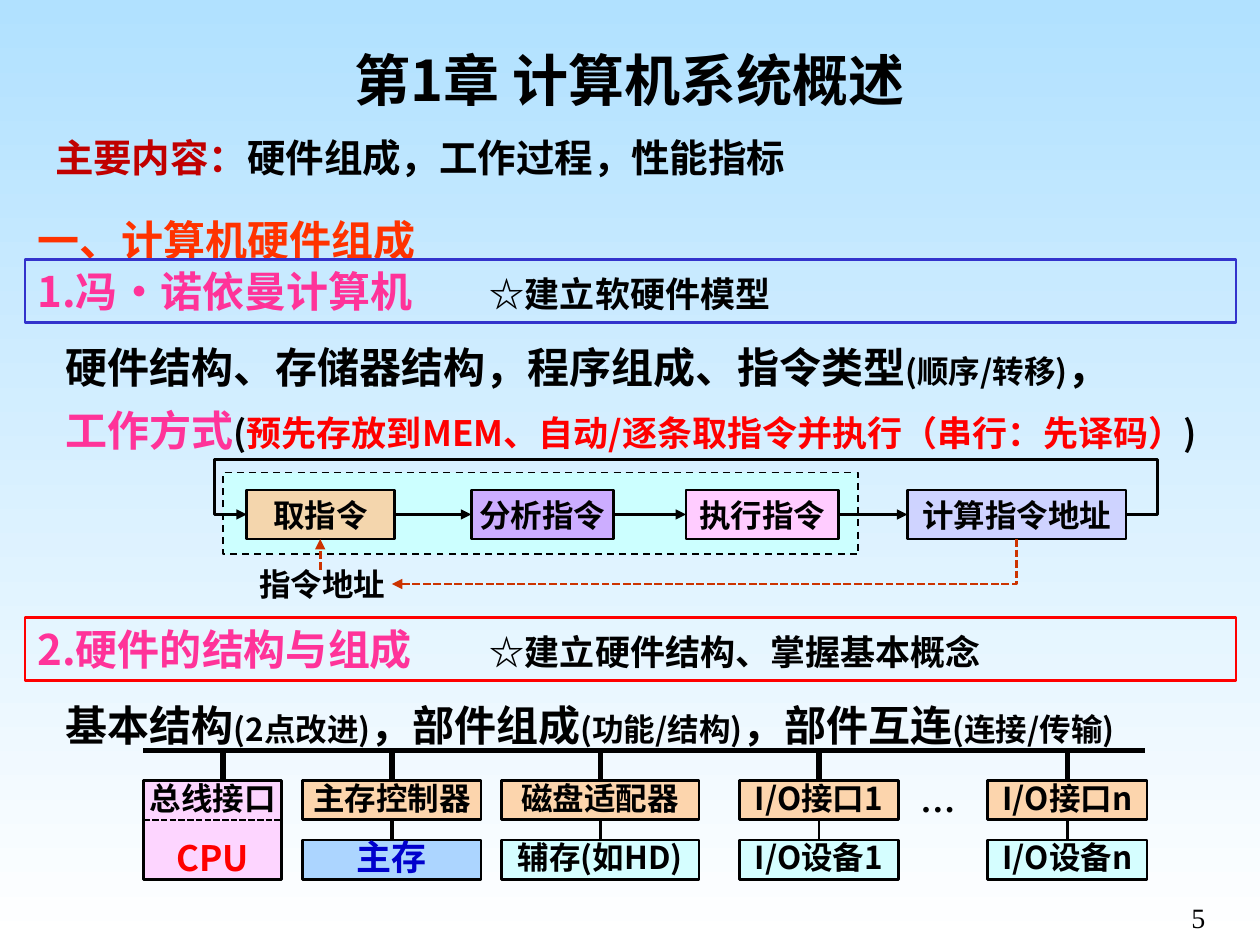
"""Build the chapter overview slide on computer hardware."""
import pptx
import pptx.dml.color
import pptx.enum.dml
import pptx.enum.shapes
import pptx.enum.text
import pptx.oxml.ns
import pptx.util
from lxml import etree

Pt = pptx.util.Pt
qn = pptx.oxml.ns.qn
ALIGN = pptx.enum.text.PP_ALIGN
ANCHOR = pptx.enum.text.MSO_ANCHOR
DASH = pptx.enum.dml.MSO_LINE
C = {
    "sky": "B1E1FF", "white": "FFFFFF", "black": "000000", "crimson": "C00000",
    "orange": "FF3300", "rose": "FF3399", "red": "FF0000", "navy": "3333CC",
    "blue": "0000CC", "rust": "CC3300", "aqua": "CCFFFF", "peach": "FFCC99",
    "violet": "CC99FF", "pink": "FFCCFF", "lilac": "CCCCFF", "azure": "99CCFF",
}


def rgb(name):
    """Return a palette colour."""
    return pptx.dml.color.RGBColor.from_string(C[name])


class Deck:
    """Hold the style and the current slide."""

    font = "Noto Sans CJK SC"
    tight = (1.5, 0.75, 1.5, 0.75)
    loose = (7.2, 3.6, 7.2, 3.6)

    def __init__(self):
        """Open a title-only slide with a gradient background."""
        self.prs = pptx.Presentation()
        self.prs.slide_width, self.prs.slide_height = Pt(720), Pt(540)
        self.s = self.prs.slides.add_slide(self.prs.slide_layouts[5])
        fill = self.s.background.fill
        fill.gradient()
        fill.gradient_angle = 270
        for stop, pos, name in zip(fill.gradient_stops, (0, 1), ("sky", "white")):
            stop.position = pos
            stop.color.rgb = rgb(name)

    def set_text(self, sp, paras, size=18, color="black", bold=True, font=None, align=ALIGN.CENTER,
                 anchor=ANCHOR.MIDDLE, spacing=1.0, inset=tight, indent=0, tab=0):
        """Fill a shape with paragraphs of (text, size, colour) runs."""
        tf = sp.text_frame
        sides = ("margin_left", "margin_top", "margin_right", "margin_bottom")
        fmt = {"word_wrap": True, "auto_size": pptx.enum.text.MSO_AUTO_SIZE.NONE,
               "vertical_anchor": anchor, **{k: Pt(v) for k, v in zip(sides, inset)}}
        for key, value in fmt.items():
            setattr(tf, key, value)
        paras = [[(paras,)]] if isinstance(paras, str) else paras
        for i, runs in enumerate(paras):
            p = tf.add_paragraph() if i else tf.paragraphs[0]
            p.alignment, p.line_spacing = align, spacing
            pPr = p._p.get_or_add_pPr()
            if indent:
                pPr.set("indent", str(Pt(indent)))
            if tab:
                tabs = etree.SubElement(pPr, qn("a:tabLst"))
                etree.SubElement(tabs, qn("a:tab"), pos=str(Pt(tab)), algn="l")
            for text, *style in runs:
                r = p.add_run()
                r.text = text
                run_size, run_color = style or (size, color)
                for key, value in {"size": Pt(run_size), "bold": bold, "name": font or self.font}.items():
                    setattr(r.font, key, value)
                r.font.color.rgb = rgb(run_color)
                ea = etree.SubElement(r._r.get_or_add_rPr(), qn("a:ea"))
                ea.set("typeface", font or self.font)

    def title(self, box, text, **fmt):
        """Place and format the title."""
        sp = self.s.shapes.title
        for key, value in zip(("left", "top", "width", "height"), box):
            setattr(sp, key, Pt(value))
        self.set_text(sp, text, **fmt)

    def text(self, box, paras, **fmt):
        """Add a text box."""
        self.set_text(self.s.shapes.add_textbox(*map(Pt, box)), paras, **fmt)

    def outline(self, sp, color="black", width=1.5, dash=None, arrow=False):
        """Format the line of a shape or connector."""
        sp.line.color.rgb = rgb(color)
        sp.line.width = Pt(width)
        if dash:
            sp.line.dash_style = dash
        if arrow:
            ln = sp._element.spPr.find(qn("a:ln"))
            etree.SubElement(ln, qn("a:tailEnd"), type="triangle")

    def rect(self, box, paras=None, fill=None, alpha=80, line="black", width=1.5, dash=None, **fmt):
        """Add a rectangle with optional fill and text."""
        sp = self.s.shapes.add_shape(pptx.enum.shapes.MSO_SHAPE.RECTANGLE, *map(Pt, box))
        sp.shadow.inherit = False
        if fill:
            sp.fill.solid()
            sp.fill.fore_color.rgb = rgb(fill)
            if alpha < 100:
                clr = sp._element.spPr.find(qn("a:solidFill"))[0]
                etree.SubElement(clr, qn("a:alpha"), val=str(alpha * 1000))
        else:
            sp.fill.background()
        self.outline(sp, line, width, dash)
        if paras:
            self.set_text(sp, paras, **fmt)

    def line(self, x1, y1, x2, y2, **style):
        """Add a straight connector."""
        kind = pptx.enum.shapes.MSO_CONNECTOR.STRAIGHT
        cx = self.s.shapes.add_connector(kind, *map(Pt, (x1, y1, x2, y2)))
        self.outline(cx, **style)
        etree.SubElement(cx._element.spPr, qn("a:effectLst"))

    def route(self, points, **style):
        """Add an open route with right-angle bends."""
        start, *rest = [(Pt(x), Pt(y)) for x, y in points]
        fb = self.s.shapes.build_freeform(*start)
        fb.add_line_segments(rest, close=False)
        sp = fb.convert_to_shape()
        sp.shadow.inherit = False
        sp.fill.background()
        self.outline(sp, **style)


d = Deck()
left, width = 14.4, 692
body = dict(size=24, align=ALIGN.LEFT, anchor=ANCHOR.TOP, inset=d.loose, spacing=1.25)
heading = dict(size=24, color="rose", align=ALIGN.LEFT, inset=d.loose, tab=258.5)

d.title((66, 22.3, 588, 46), "第1章 计算机系统概述", size=32, inset=d.loose)
d.text((649.5, 514, 70.5, 22.3), "5", size=16, bold=False, font="Times New Roman", spacing=0.9)
d.text((left, 104.4, width, 44), "一、计算机硬件组成", **{**body, "color": "orange", "spacing": 1.5})
d.rect((left, 148.3, width, 36), [[("1.冯·诺依曼计算机\t",), ("☆建立软硬件模型", 20, "black")]],
       line="navy", **heading)
d.text((left, 184.3, width, 80), [
    [("硬件结构、存储器结构，程序组成、指令类型",), ("(顺序/转移)", 18, "black"), ("，",)],
    [("工作方式", 24, "rose"), ("(", 20, "black"),
     ("预先存放到MEM、自动/逐条取指令并执行（串行：先译码）", 20, "red"), (")", 20, "black")],
], indent=16, **body)

step_y, step_h = 280, 28
mid_y = step_y + step_h / 2
steps = [
    (141, 84.5, "取指令", "peach", 80),
    (269.3, 81.3, "分析指令", "violet", 80),
    (392, 87.3, "执行指令", "pink", 100),
    (518.5, 125, "计算指令地址", "lilac", 80),
]
d.rect((127.5, 270, 363, 46.8), fill="aqua", alpha=100, width=1, dash=DASH.DASH)
for x, w, label, fill, alpha in steps:
    d.rect((x, step_y, w, step_h), label, fill=fill, alpha=alpha)
for (x, w, *_), (next_x, *_) in zip(steps, steps[1:]):
    d.line(x + w, mid_y, next_x, mid_y, arrow=True)
d.route([(643.5, mid_y), (661.5, mid_y), (661.5, 262.5), (122.5, 262.5), (122.5, mid_y), (141, mid_y)],
        arrow=True)
feedback = dict(color="rust", dash=DASH.SQUARE_DOT, arrow=True)
d.text((144.5, 324, 79.5, 19.5), "指令地址")
d.line(183, 325.5, 183, step_y + step_h, **feedback)
d.route([(581, step_y + step_h), (581, 333.7), (224, 333.7)], **feedback)

d.rect((left, 352.8, width, 36), [[("2.硬件的结构与组成\t",), ("☆建立硬件结构、掌握基本概念", 20, "black")]],
       line="red", **heading)
d.text((left, 388.8, 694, 44), [[
    ("基本结构",), ("(2点改进)", 18, "black"), ("，部件组成",), ("(功能/结构)", 18, "black"),
    ("，部件互连",), ("(连接/传输)", 18, "black")]], indent=16, **body)

bus_y, port_y, unit_y, unit_h = 429, 446, 480, 22.5
d.line(82, bus_y, 654.5, bus_y, width=3)
d.rect((82, port_y, 79, 56.5), "CPU", fill="pink", size=20, color="red", anchor=ANCHOR.BOTTOM)
d.text((82, port_y, 79, unit_h), "总线接口", spacing=0.9)
d.line(82, 468.7, 161, 468.7, width=1.25, dash=DASH.SQUARE_DOT)
d.line(127.5, bus_y, 127.5, port_y, width=3)
units = [
    (173, 102, "主存控制器", "主存", "azure", 20, "blue", 2),
    (286.5, 113, "磁盘适配器", "辅存(如HD)", "aqua", 18, "black", 1.5),
    (422.5, 91, "I/O接口1", "I/O设备1", "aqua", 18, "black", 1.5),
    (564.5, 91, "I/O接口n", "I/O设备n", "aqua", 18, "black", 1.5),
]
for x, w, port, unit, fill, size, color, link in units:
    mid = x + w / 2
    d.line(mid, bus_y, mid, port_y, width=3)
    d.rect((x, port_y, w, unit_h), port, fill="peach", spacing=0.9)
    d.line(mid, port_y + unit_h, mid, unit_y, width=link)
    d.rect((x, unit_y, w, unit_h), unit, fill=fill, size=size, color=color, spacing=0.9)
d.text((513.5, port_y, 45, 34), "…", size=20, font="Times New Roman", anchor=ANCHOR.TOP, spacing=0.9)

d.text((left, 66.3, width, 40), [[("主要内容：", 22, "crimson"), ("硬件组成，工作过程，性能指标", 22, "black")]],
       indent=10, **body)
d.prs.save("out.pptx")
